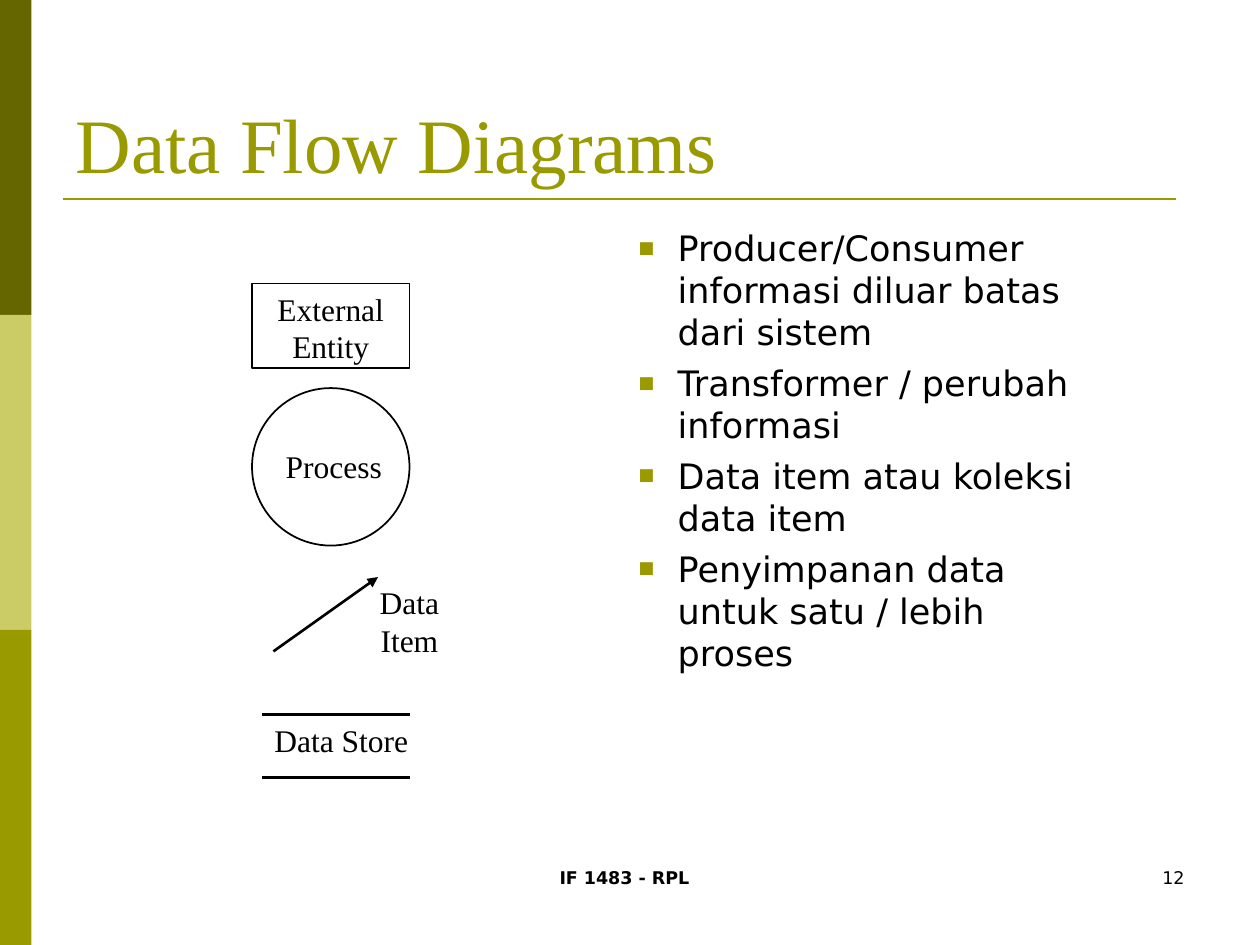
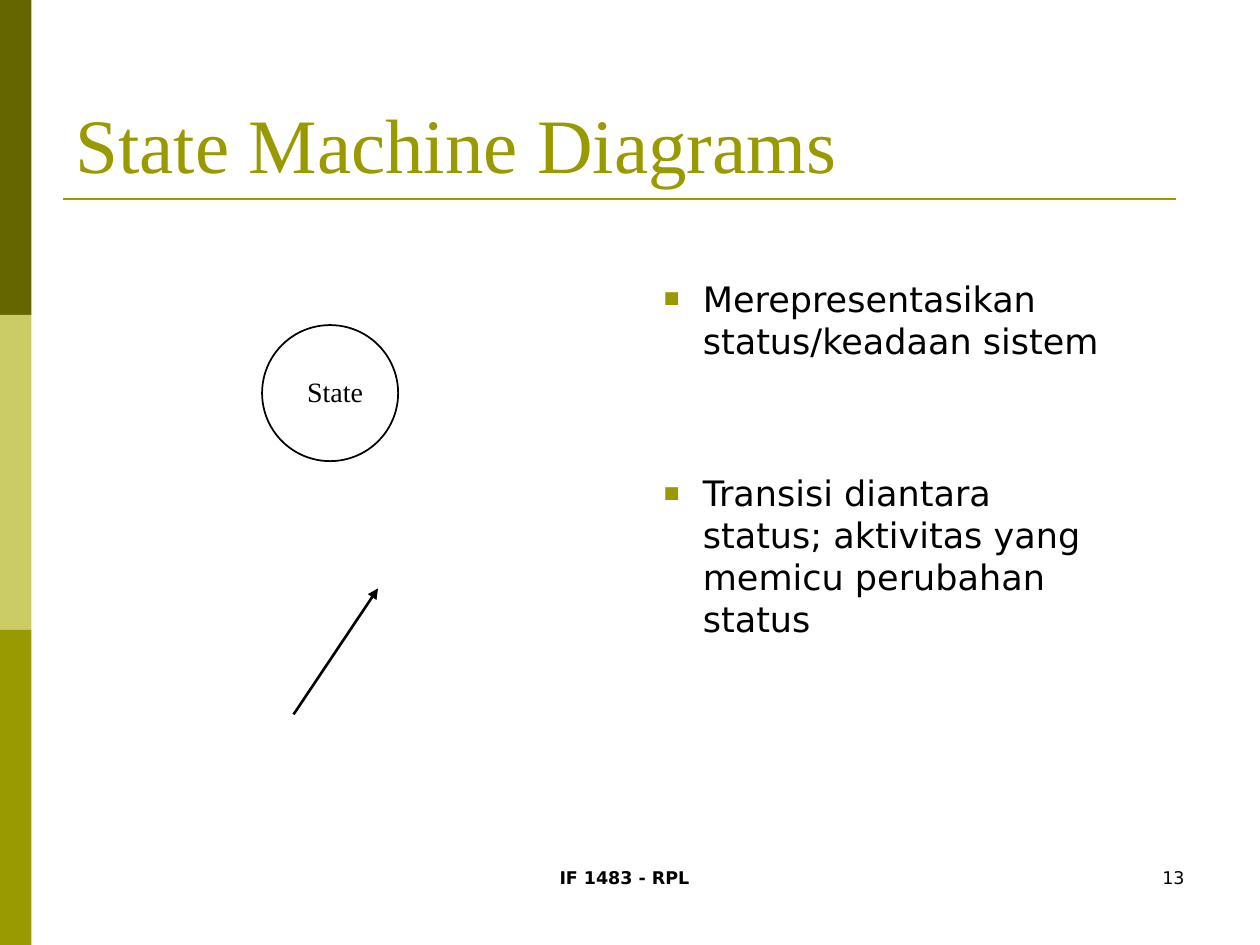
"""Build two slides on the notations of data flow and state machine diagrams."""
import lxml.etree
import pptx
import pptx.dml.color
import pptx.enum.shapes
import pptx.enum.text
import pptx.oxml.ns
import pptx.util

Inches, Pt = pptx.util.Inches, pptx.util.Pt
RGBColor = pptx.dml.color.RGBColor
SHAPE = pptx.enum.shapes.MSO_SHAPE
ALIGN = pptx.enum.text.PP_ALIGN
ANCHOR = pptx.enum.text.MSO_ANCHOR
AUTO_SIZE = pptx.enum.text.MSO_AUTO_SIZE

DARK_OLIVE = RGBColor(0x66, 0x66, 0x00)
PALE_OLIVE = RGBColor(0xCC, 0xCC, 0x66)
OLIVE = RGBColor(0x99, 0x99, 0x00)
BLACK = RGBColor(0x00, 0x00, 0x00)
SERIF, SANS = "Times New Roman", "DejaVu Sans"

COURSE = "IF 1483 - RPL"
BANDS = [DARK_OLIVE, PALE_OLIVE, OLIVE]
BAND_WIDTH, BAND_HEIGHT = 0.25, 2.5
TITLE_FONT = {"name": SERIF, "size": Pt(44)}
BULLET_FONT = {"name": SANS, "size": Pt(20)}
COURSE_FONT = {"name": SANS, "size": Pt(10), "bold": True}
NUMBER_FONT = {"name": SANS, "size": Pt(10)}

SLIDES = [
    {
        "title": "Data Flow Diagrams",
        "number": "12",
        "bullets": [
            "Producer/Consumer informasi diluar batas dari sistem",
            "Transformer / perubah informasi",
            "Data item atau koleksi data item",
            "Penyimpanan data untuk satu / lebih proses",
        ],
        "bullets_at": (4.47, 1.75, 4.41, 4.95),
        "bullet_gap": 5,
        "outlines": [
            (SHAPE.RECTANGLE, (2, 2.25, 1.25, 0.67)),
            (SHAPE.OVAL, (2, 3.08, 1.25, 1.25)),
        ],
        "arrows": [((2.17, 5.17), (3, 4.58))],
        "rules": [((2.08, 5.67), (3.25, 5.67)), ((2.08, 6.17), (3.25, 6.17))],
        "label_size": 18,
        "labels": [
            (["External", "Entity"], (2.07, 2.25, 1.11, 0.7)),
            (["Process"], (2.1, 3.5, 1.1, 0.4)),
            (["Data", "Item"], (2.9, 4.58, 0.7, 0.7)),
            (["Data Store"], (2.06, 5.67, 1.3, 0.4)),
        ],
    },
    {
        "title": "State Machine Diagrams",
        "number": "13",
        "bullets": [
            "Merepresentasikan status/keadaan sistem",
            "Transisi diantara status; aktivitas yang memicu perubahan status",
        ],
        "bullets_at": (4.67, 2.15, 4.17, 4.55),
        "bullet_gap": 63,
        "outlines": [(SHAPE.OVAL, (2.08, 2.58, 1.08, 1.08))],
        "arrows": [((2.33, 5.67), (3, 4.67))],
        "rules": [],
        "label_size": 16,
        "labels": [(["State"], (2.31, 2.92, 0.7, 0.37))],
    },
]


def apply_format(target, values):
    for name, value in values.items():
        setattr(target, name, value)


def add_run(paragraph, words, font, color=BLACK):
    run = paragraph.add_run()
    run.text = words
    apply_format(run.font, font)
    run.font.color.rgb = color


def add_element(parent, tag, **attributes):
    return lxml.etree.SubElement(parent, pptx.oxml.ns.qn(tag), attributes)


def add_text(slide, lines, place, font, align=ALIGN.LEFT):
    frame = slide.shapes.add_textbox(*map(Inches, place)).text_frame
    frame.word_wrap = True
    for index, line in enumerate(lines):
        paragraph = frame.add_paragraph() if index else frame.paragraphs[0]
        paragraph.alignment = align
        add_run(paragraph, line, font)
    return frame


def add_outline(slide, kind, place, fill=None):
    outline = slide.shapes.add_shape(kind, *map(Inches, place))
    outline.shadow.inherit = False
    if fill is None:
        outline.fill.background()
        outline.line.color.rgb = BLACK
        outline.line.width = Pt(1)
    else:
        outline.fill.solid()
        outline.fill.fore_color.rgb = fill
        outline.line.fill.background()


def add_line(slide, start, end, color=BLACK, arrow=False):
    line = slide.shapes.add_connector(
        pptx.enum.shapes.MSO_CONNECTOR.STRAIGHT, *map(Inches, start + end)
    )
    line.line.color.rgb = color
    line.line.width = Pt(1.5)
    if arrow:
        add_element(line.line._get_or_add_ln(), "a:tailEnd", type="triangle")
    add_element(line._element.spPr, "a:effectLst")


def add_bullets(slide, bullets, place, gap):
    frame = add_text(slide, bullets, place, BULLET_FONT)
    for index, paragraph in enumerate(frame.paragraphs):
        if index:
            paragraph.space_before = Pt(gap)
        properties = paragraph._p.get_or_add_pPr()
        properties.set("marL", str(Inches(0.81)))
        properties.set("indent", str(Inches(-0.31)))
        bullet_color = add_element(properties, "a:buClr")
        add_element(bullet_color, "a:srgbClr", val=str(OLIVE))
        add_element(properties, "a:buSzPct", val="48000")
        add_element(properties, "a:buFont", typeface=SANS)
        add_element(properties, "a:buChar", char="■")


def add_frame(slide, content):
    for index, color in enumerate(BANDS):
        place = (0, index * BAND_HEIGHT, BAND_WIDTH, BAND_HEIGHT)
        add_outline(slide, SHAPE.RECTANGLE, place, color)
    add_line(slide, (0.5, 1.58), (9.33, 1.58), OLIVE)
    title = slide.shapes.title
    apply_format(title, {
        "left": Inches(0.5), "top": Inches(0.3),
        "width": Inches(9), "height": Inches(1.25),
    })
    apply_format(title.text_frame, {
        "vertical_anchor": ANCHOR.BOTTOM, "auto_size": AUTO_SIZE.NONE, "word_wrap": True,
    })
    heading = title.text_frame.paragraphs[0]
    heading.alignment = ALIGN.LEFT
    add_run(heading, content["title"], TITLE_FONT, OLIVE)
    add_text(slide, [COURSE], (3.37, 6.83, 3.17, 0.5), COURSE_FONT, ALIGN.CENTER)
    add_text(slide, [content["number"]], (7.17, 6.83, 2.33, 0.5), NUMBER_FONT, ALIGN.RIGHT)


def add_notation(slide, content):
    for kind, place in content["outlines"]:
        add_outline(slide, kind, place)
    for start, end in content["arrows"]:
        add_line(slide, start, end, arrow=True)
    for start, end in content["rules"]:
        add_line(slide, start, end)
    label_font = {"name": SERIF, "size": Pt(content["label_size"])}
    for lines, place in content["labels"]:
        label = add_text(slide, lines, place, label_font, ALIGN.CENTER)
        apply_format(label, {"word_wrap": False, "auto_size": AUTO_SIZE.SHAPE_TO_FIT_TEXT})


def main():
    deck = pptx.Presentation()
    apply_format(deck, {"slide_width": Inches(10), "slide_height": Inches(7.5)})
    title_only = deck.slide_layouts.get_by_name("Title Only")
    for content in SLIDES:
        slide = deck.slides.add_slide(title_only)
        add_frame(slide, content)
        add_bullets(slide, content["bullets"], content["bullets_at"], content["bullet_gap"])
        add_notation(slide, content)
    deck.save("out.pptx")


if __name__ == "__main__":
    main()
